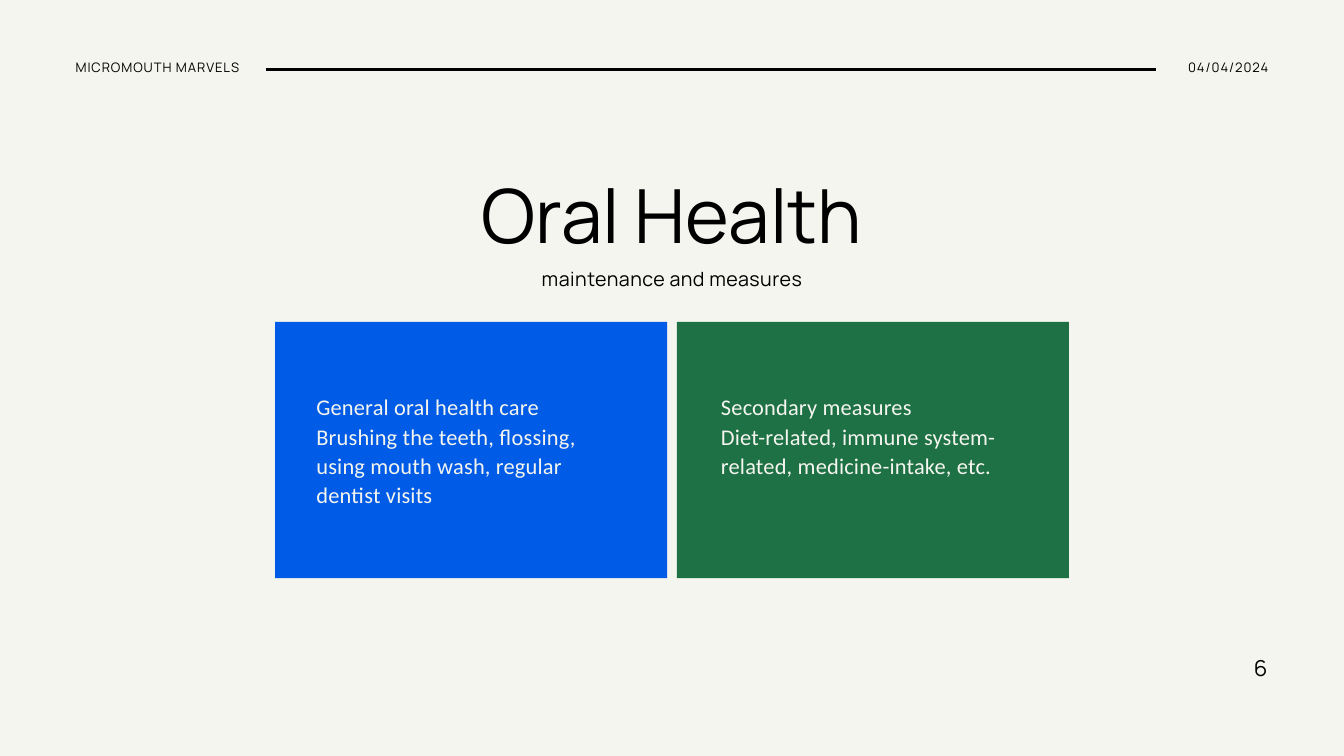
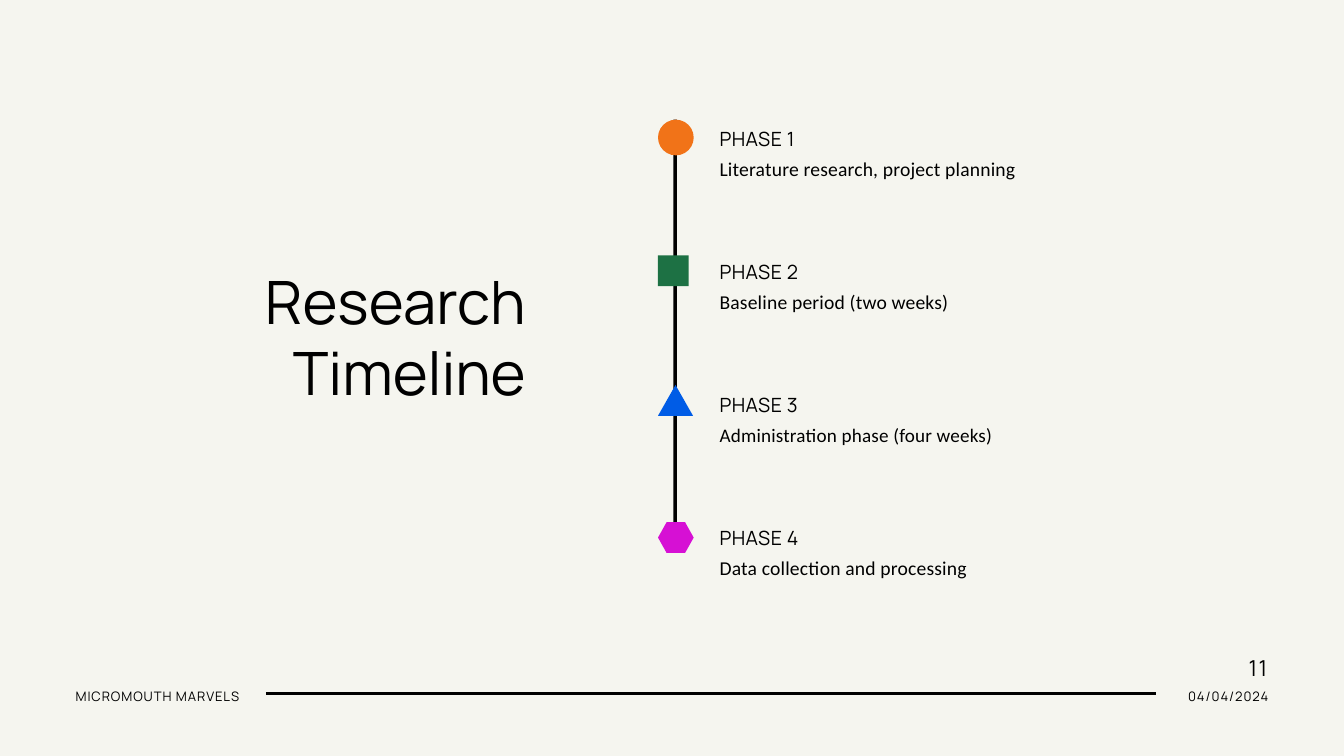
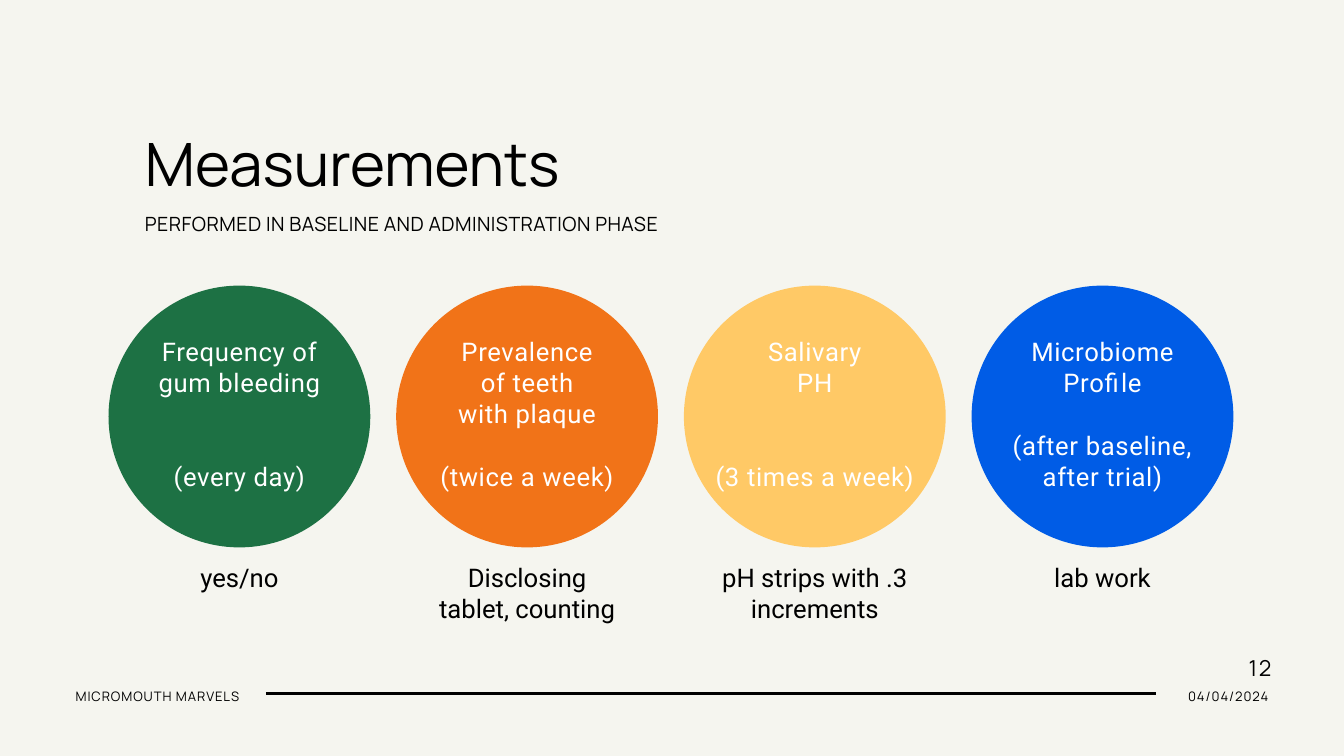
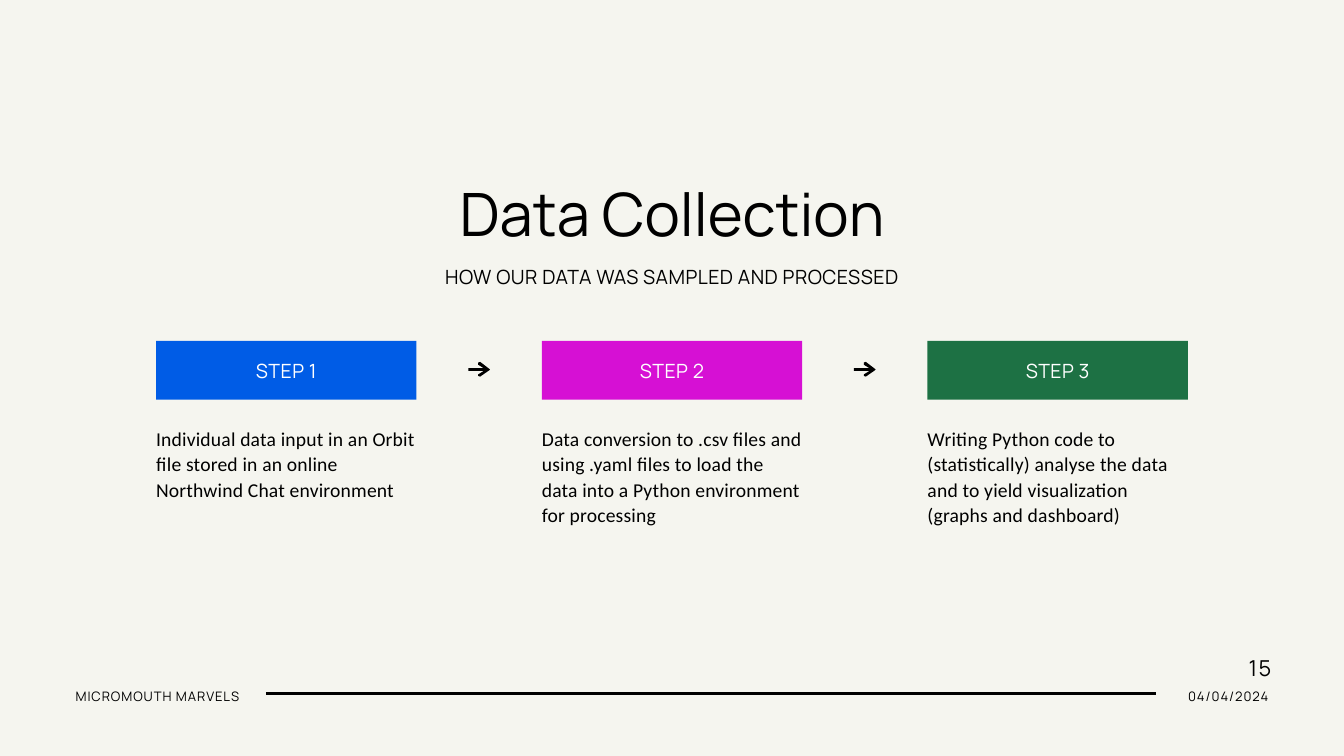
from dataclasses import dataclass, replace

from lxml.etree import SubElement
from pptx import Presentation
from pptx.dml.color import RGBColor
from pptx.enum.shapes import MSO_CONNECTOR, MSO_SHAPE
from pptx.enum.text import MSO_ANCHOR, MSO_AUTO_SIZE, PP_ALIGN
from pptx.oxml.ns import qn
from pptx.util import Emu, Pt

EMU_PER_PX = 9525
INK = "000000"
PAPER = "F5F5EF"
WHITE = "FFFFFF"
BLUE = "005CE6"
GREEN = "1D7144"
ORANGE = "F17318"
YELLOW = "FFC966"
MAGENTA = "D610D4"

LEFT, CENTER, RIGHT = PP_ALIGN.LEFT, PP_ALIGN.CENTER, PP_ALIGN.RIGHT
TITLE_AND_SUBTITLE, TITLE_ONLY = 0, 5
ARROW_OUTLINE = [(31, 11), (30, 10), (17, 0), (14, 1), (14, 4), (22, 9), (0, 9),
                 (0, 13), (22, 13), (14, 18), (14, 20), (17, 21), (30, 12)]


@dataclass
class Style:
    font: str
    size: float
    line: float | None = None
    tracking: int = 0


BIG_TITLE = Style("Manrope", 80, 96)
TITLE = Style("Manrope", 64, 76.8)
LABEL = Style("Manrope", 21, 25.2, 50)
BODY = Style("Calibri", 21, 27.3, 20)
TIGHT_BODY = replace(BODY, size=20.5)
CARD = Style("Calibri", 24, 31.2, 20)
CIRCLE = Style("Roboto", 27.5, 33.6, 70)
CAPTION = Style("Roboto", 27.5)
BAND = Style("Manrope", 14, 16.8, 100)
NUMBER = Style("Manrope", 23.5, 28.8, 170)


def px(length):
    return Emu(round(length * EMU_PER_PX))


def color(value):
    return RGBColor.from_string(value)


def write(shape, lines, style, ink=INK, align=LEFT, anchor=MSO_ANCHOR.TOP, inset=(0, 0)):
    frame = shape.text_frame
    frame.word_wrap = True
    frame.auto_size = MSO_AUTO_SIZE.NONE
    frame.vertical_anchor = anchor
    frame.margin_left = frame.margin_right = px(inset[0])
    frame.margin_top = frame.margin_bottom = px(inset[1])
    frame.text = "\n".join(lines)
    for para in frame.paragraphs:
        para.alignment = align
        para.space_before = Pt(0)
        if style.line:
            para.line_spacing = Pt(style.line)
        para.font.name = style.font
        para.font.size = Pt(style.size)
        para.font.color.rgb = color(ink)
        if style.tracking:
            para._p.pPr.get_or_add_defRPr().set("spc", str(style.tracking))
    return frame


def add_text(page, box, lines, style, **options):
    return write(page.shapes.add_textbox(*map(px, box)), lines, style, **options)


def paint(shape, fill):
    shape.shadow.inherit = False
    shape.fill.solid()
    shape.fill.fore_color.rgb = color(fill)
    shape.line.fill.background()
    return shape


def add_block(page, preset, box, fill):
    return paint(page.shapes.add_shape(preset, *map(px, box)), fill)


def add_arrow(page, left, top):
    points = [(left + across, top + down) for across, down in ARROW_OUTLINE]
    outline = page.shapes.build_freeform(*points[0], scale=EMU_PER_PX)
    outline.add_line_segments(points[1:])
    paint(outline.convert_to_shape(), INK)


def add_line(page, start, end, width):
    line = page.shapes.add_connector(MSO_CONNECTOR.STRAIGHT, *map(px, start + end))
    line.line.color.rgb = color(INK)
    line.line.width = px(width)
    SubElement(line._element.spPr, qn("a:effectLst"))


def place(placeholder, box, text, style, align):
    placeholder.left, placeholder.top, placeholder.width, placeholder.height = map(px, box)
    write(placeholder, [text], style, align=align)


def add_heading(page, box, title, style=TITLE, align=CENTER, subtitle=None, subtitle_box=None):
    place(page.shapes.title, box, title, style, align)
    if subtitle:
        place(page.placeholders[1], subtitle_box, subtitle, LABEL, align)


def add_band(page, number, text_top=983, line_y=991, number_left=1776):
    add_line(page, (380, line_y), (1651, line_y), 4)
    add_text(page, (108, text_top, 272, 22), ["MICROMOUTH MARVELS"], BAND)
    add_text(page, (1614, text_top, 198, 22), ["04/04/2024"], BAND, align=RIGHT)
    add_text(page, (number_left, 934, 48, 39), [number], NUMBER, align=CENTER)


def add_card(page, box, fill, indent, lines):
    left, top, width, height = box
    add_block(page, MSO_SHAPE.RECTANGLE, box, fill)
    add_text(page, (left + indent, top + 99, 436, height - 202), lines, CARD, ink=PAPER)


def add_phase(page, left, top, marker, name, detail, style):
    preset, drop, width, height, fill = marker
    shape = add_block(page, preset, (left, top + drop, width, height), fill)
    if preset == MSO_SHAPE.HEXAGON:
        shape.adjustments[0] = 0.28
    add_text(page, (left + 88, top + 10, 733, 33), [name], LABEL)
    add_text(page, (left + 88, top + 50, 733, 35), [detail], style)


def add_measure(page, box, fill, name_lines, frequency, gap_lines, method):
    left, top, width, height = box
    add_block(page, MSO_SHAPE.OVAL, box, fill)
    frame = add_text(page, (left + 35, top + 26, 304, 313), name_lines + [frequency], CIRCLE,
                     ink=WHITE, align=CENTER, anchor=MSO_ANCHOR.MIDDLE, inset=(6, 6))
    frame.paragraphs[-1].space_before = Pt(gap_lines * CIRCLE.line)
    add_text(page, (left + 43, top + height + 16, 288, 99), [method], CAPTION,
             align=CENTER, inset=(10, 5))


def add_step(page, box, fill, name, detail):
    left, top, width, height = box
    bar = add_block(page, MSO_SHAPE.RECTANGLE, box, fill)
    write(bar, [name], LABEL, ink=WHITE, align=CENTER, anchor=MSO_ANCHOR.MIDDLE)
    add_text(page, (left, top + 120, width, 143), [detail], BODY)


def build_oral_health(page):
    add_heading(page, (503, 241, 914, 128), "Oral Health", BIG_TITLE,
                subtitle="maintenance and measures", subtitle_box=(503, 381, 914, 33))
    cards = [
        (BLUE, 59, ["General oral health care",
                    "Brushing the teeth, flossing, using mouth wash, regular dentist visits"]),
        (GREEN, 63, ["Secondary measures",
                     "Diet-related, immune system-related, medicine-intake, etc."]),
    ]
    for index, card in enumerate(cards):
        add_card(page, (393 + 574 * index, 460, 560, 366), *card)
    add_band(page, "6", text_top=85, line_y=99, number_left=1777)


def build_timeline(page):
    add_heading(page, (158, 378, 593, 201), "Research Timeline", align=RIGHT)
    add_block(page, MSO_SHAPE.RECTANGLE, (962, 171, 5, 597), INK)
    phases = [
        ((MSO_SHAPE.OVAL, 0, 51, 51, ORANGE), "Literature research, project planning", BODY),
        ((MSO_SHAPE.RECTANGLE, 4, 44, 44, GREEN), "Baseline period (two weeks)", BODY),
        ((MSO_SHAPE.ISOSCELES_TRIANGLE, -1, 50, 44, BLUE),
         "Administration phase (four weeks)", TIGHT_BODY),
        ((MSO_SHAPE.HEXAGON, 5, 51, 44, MAGENTA), "Data collection and processing", BODY),
    ]
    for index, (marker, detail, style) in enumerate(phases):
        add_phase(page, 940, 171 + 190 * index, marker, f"PHASE {index + 1}", detail, style)
    add_band(page, "11", number_left=1773)


def build_measurements(page):
    add_heading(page, (207, 181, 1005, 101), "Measurements", align=LEFT,
                subtitle="PERFORMED IN BASELINE AND ADMINISTRATION PHASE",
                subtitle_box=(207, 303, 883, 33))
    measures = [
        (GREEN, ["Frequency of", "gum bleeding"], "(every day)", 2, "yes/no"),
        (ORANGE, ["Prevalence", "of teeth", "with plaque"], "(twice a week)", 1,
         "Disclosing tablet, counting"),
        (YELLOW, ["Salivary", "PH"], "(3 times a week)", 2, "pH strips with .3 increments"),
        (BLUE, ["Microbiome", "Profile"], "(after baseline, after trial)", 1, "lab work"),
    ]
    for index, measure in enumerate(measures):
        add_measure(page, (155 + 411 * index, 408, 374, 374), *measure)
    add_band(page, "12")


def build_data_collection(page):
    add_heading(page, (298, 253, 1324, 101), "Data Collection",
                subtitle="HOW OUR DATA WAS SAMPLED AND PROCESSED",
                subtitle_box=(602, 378, 716, 33))
    steps = [
        (BLUE, "Individual data input in an Orbit file stored in an online "
               "Northwind Chat environment"),
        (MAGENTA, "Data conversion to .csv files and using .yaml files to load the data "
                  "into a Python environment for processing"),
        (GREEN, "Writing Python code to (statistically) analyse the data and to yield "
                "visualization (graphs and dashboard)"),
    ]
    for index, (fill, detail) in enumerate(steps):
        left = 223 + 551 * index
        add_step(page, (left, 487, 372, 84), fill, f"STEP {index + 1}", detail)
        if index < len(steps) - 1:
            add_arrow(page, left + 446, 517)
    add_band(page, "15")


def main():
    deck = Presentation()
    deck.slide_width, deck.slide_height = px(1920), px(1080)
    background = deck.slide_master.background.fill
    background.solid()
    background.fore_color.rgb = color(PAPER)
    pages = [
        (TITLE_AND_SUBTITLE, build_oral_health),
        (TITLE_ONLY, build_timeline),
        (TITLE_AND_SUBTITLE, build_measurements),
        (TITLE_AND_SUBTITLE, build_data_collection),
    ]
    for layout, build in pages:
        build(deck.slides.add_slide(deck.slide_layouts[layout]))
    deck.save("out.pptx")


if __name__ == "__main__":
    main()
